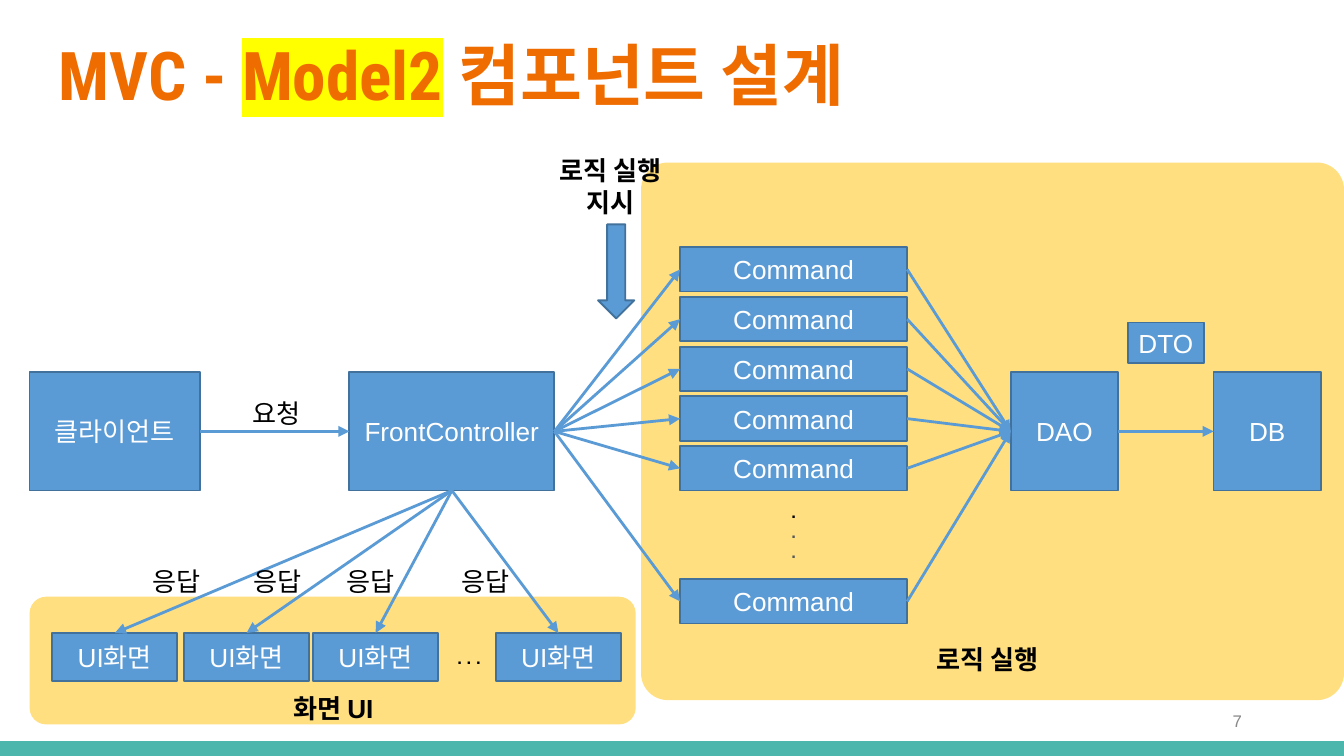
from dataclasses import dataclass

from lxml.etree import SubElement
from pptx import Presentation
from pptx.dml.color import RGBColor
from pptx.enum.shapes import MSO_CONNECTOR as Connector, MSO_SHAPE as Preset
from pptx.enum.text import MSO_ANCHOR as Anchor, PP_ALIGN as Align
from pptx.oxml import parse_xml
from pptx.oxml.ns import nsdecls, qn
from pptx.shapes.autoshape import Shape
from pptx.util import Inches, Pt

COLUMNS, ROWS = 100, 56.25
CELL = Inches(10) / COLUMNS
BLUE, NAVY, AMBER, ORANGE = "5B9BD5", "42719B", "FFC000", "EF6C00"
TEAL, YELLOW, BLACK, WHITE = "4DB6AC", "FFFF00", "000000", "FFFFFF"
GRAY, LIGHT_GRAY = "595959", "888888"
TOP, LEFT, BOTTOM, RIGHT = range(4)


@dataclass(frozen=True)
class Area:
    column: float
    row: float
    columns: float
    rows: float

    def lengths(self) -> list[int]:
        return [cells(n) for n in (self.column, self.row, self.columns, self.rows)]


@dataclass(frozen=True)
class Words:
    text: str
    size: float = 14
    color: str = BLACK
    bold: bool = False
    font: str = "Arial"
    highlight: str = ""


@dataclass(frozen=True)
class Label:
    area: Area
    lines: list[list[Words]]
    align: Align = Align.CENTER
    anchor: Anchor = Anchor.TOP
    inset: tuple[float, float] = (0.07, 0.04)


def cells(count: float) -> int:
    return round(count * CELL)


def rgb(color: str) -> RGBColor:
    return RGBColor.from_string(color)


def write(holder: Shape, label: Label) -> None:
    frame = holder.text_frame
    frame.word_wrap = True
    frame.vertical_anchor = label.anchor
    frame.margin_left = frame.margin_right = Inches(label.inset[0])
    frame.margin_top = frame.margin_bottom = Inches(label.inset[1])
    for index, line in enumerate(label.lines):
        paragraph = frame.add_paragraph() if index else frame.paragraphs[0]
        paragraph.alignment = label.align
        for words in line:
            run = paragraph.add_run()
            run.text = words.text
            run.font.size = Pt(words.size)
            run.font.bold = words.bold
            run.font.color.rgb = rgb(words.color)
            if words.highlight:
                run.font._element.find(qn("a:solidFill")).addnext(parse_xml(
                    f'<a:highlight {nsdecls("a")}><a:srgbClr val="{words.highlight}"/></a:highlight>'))
            run.font.name = words.font


def draw_label(label: Label) -> None:
    write(slide.shapes.add_textbox(*label.area.lengths()), label)


def draw_shape(area: Area, preset: Preset, fill: str, outline: str = "") -> Shape:
    drawn = slide.shapes.add_shape(preset, *area.lengths())
    drawn.shadow.inherit = False
    drawn.fill.solid()
    drawn.fill.fore_color.rgb = rgb(fill)
    if outline:
        drawn.line.color.rgb = rgb(outline)
        drawn.line.width = Pt(1)
    else:
        drawn.line.fill.background()
    return drawn


def draw_panel(area: Area, rounding: float) -> None:
    panel = draw_shape(area, Preset.ROUNDED_RECTANGLE, AMBER)
    panel.adjustments[0] = rounding
    tint = panel.fill._xPr.find(qn("a:solidFill"))[0]
    SubElement(tint, qn("a:alpha"), val="50000")


def draw_component(name: str, area: Area) -> Shape:
    component = draw_shape(area, Preset.RECTANGLE, BLUE, NAVY)
    write(component, Label(area, [[Words(name, color=WHITE)]], anchor=Anchor.MIDDLE))
    return component


def draw_arrow(source: Shape, exit_side: int, target: Shape, entry_side: int) -> None:
    arrow = slide.shapes.add_connector(Connector.STRAIGHT, 0, 0, 0, 0)
    arrow.begin_connect(source, exit_side)
    arrow.end_connect(target, entry_side)
    arrow.line.color.rgb = rgb(BLUE)
    arrow.line.width = Pt(1.5)
    SubElement(arrow.line._get_or_add_ln(), qn("a:tailEnd"), type="triangle")
    SubElement(arrow._element.spPr, qn("a:effectLst"))


deck = Presentation()
deck.slide_width, deck.slide_height = cells(COLUMNS), cells(ROWS)
slide = deck.slides.add_slide(deck.slide_layouts[6])

draw_shape(Area(0, ROWS - 1.1, COLUMNS, 1.1), Preset.RECTANGLE, TEAL)
draw_panel(Area(2.2, 44.4, 45.1, 9.5), 0.13)
draw_panel(Area(47.7, 12.1, 52.3, 40), 0.05)

heading = dict(size=36, color=ORANGE, bold=True, font="Roboto Condensed")
draw_label(Label(
    Area(3.4, 1.5, 93.2, 7.7),
    [[Words("MVC - ", **heading), Words("Model2", highlight=YELLOW, **heading),
      Words(" 컴포넌트 설계", **heading)]],
    Align.LEFT, inset=(0.1, 0.1)))
draw_label(Label(Area(70.6, 52.1, 22.5, 3), [[Words("7", 9, LIGHT_GRAY)]],
                 Align.RIGHT, Anchor.MIDDLE))

client = draw_component("클라이언트", Area(2.2, 27.7, 12.7, 8.8))
controller = draw_component("FrontController", Area(26, 27.7, 15.25, 8.8))
dao = draw_component("DAO", Area(75.2, 27.7, 8, 8.8))
database = draw_component("DB", Area(90.3, 27.7, 8, 8.8))
draw_component("DTO", Area(83.9, 24, 5.7, 3))

command_rows = [18.4 + 3.7 * place for place in range(5)] + [43.1]
commands = [draw_component("Command", Area(50.6, row, 16.9, 3.3)) for row in command_rows]
screens = [draw_component("UI화면", Area(column, 47.1, 9.3, 3.6))
           for column in (3.9, 13.7, 23.3, 36.9)]

draw_arrow(client, RIGHT, controller, LEFT)
draw_arrow(dao, RIGHT, database, LEFT)
for command in commands:
    draw_arrow(controller, RIGHT, command, LEFT)
    draw_arrow(command, RIGHT, dao, LEFT)
for screen in screens:
    draw_arrow(controller, BOTTOM, screen, TOP)

draw_shape(Area(44.5, 16.7, 2.7, 7), Preset.DOWN_ARROW, BLUE, NAVY)

draw_label(Label(Area(16.7, 29.2, 7.8, 2.3), [[Words("요청")]]))
for column in (10.3, 17.8, 24.7, 33.3):
    draw_label(Label(Area(column, 41.7, 5.7, 2.3), [[Words("응답")]]))
for caption, area in (
    ("로직 실행 지시", Area(40.3, 11.1, 10.3, 5.3)),
    ("로직 실행", Area(67.2, 47.5, 12.6, 3.6)),
    ("화면 UI", Area(20.6, 51.1, 8.4, 2.3)),
):
    draw_label(Label(area, [[Words(caption, bold=True)]]))
draw_label(Label(Area(57.3, 36.9, 3.5, 5.3),
                 [[Words(".", 9, color, True)] for color in (BLACK, GRAY, GRAY)]))
draw_label(Label(Area(32.7, 47.8, 4.4, 2.3), [[Words(". . .", 9, bold=True)]]))

deck.save("out.pptx")
